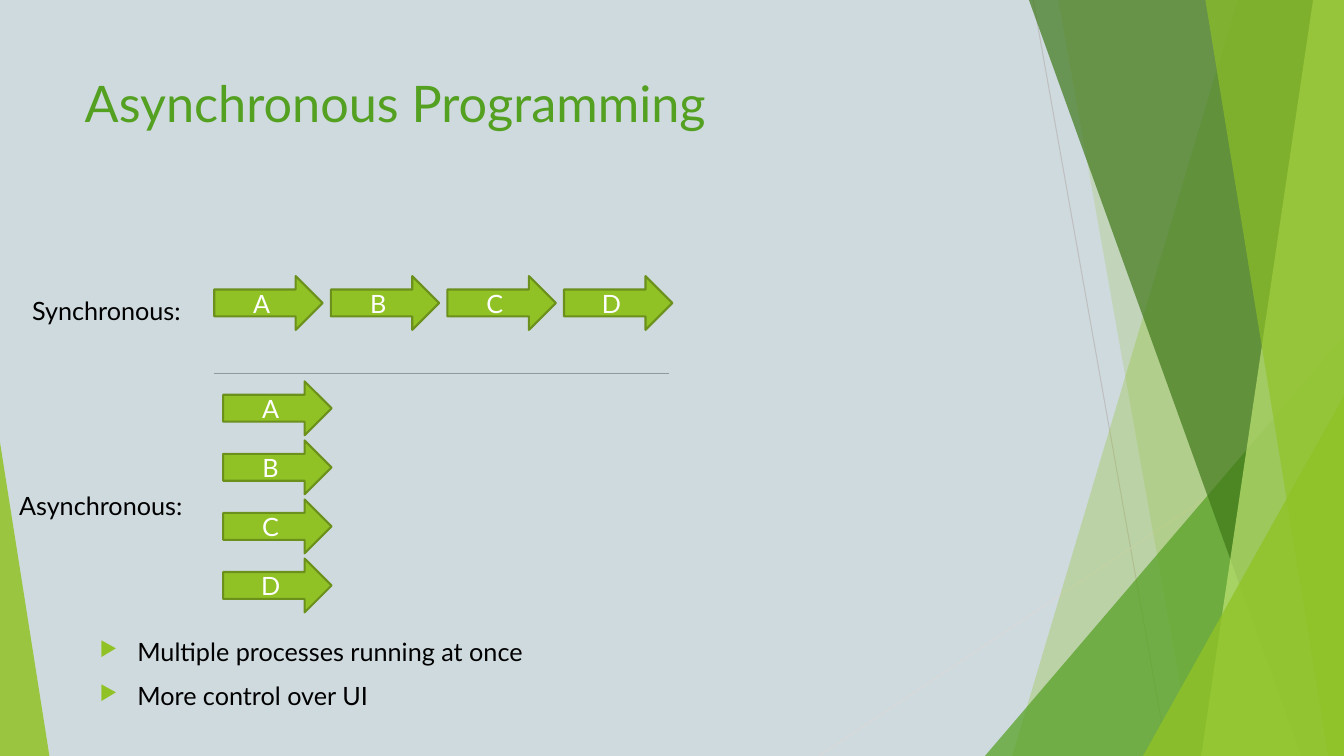
import pptx
import pptx.util
import pptx.dml.color
import pptx.enum.shapes
import pptx.enum.text
import pptx.oxml
import pptx.oxml.ns
from lxml import etree

Pt = pptx.util.Pt
SHAPE = pptx.enum.shapes.MSO_SHAPE
ANCHOR = pptx.enum.text.MSO_ANCHOR
ALIGN = pptx.enum.text.PP_ALIGN
W, H = 960, 540
FONT = "Lato"
LIME, GREEN, BLACK = "90C226", "54A021", "000000"

TITLE = "Asynchronous Programming"
TASKS = ["A", "B", "C", "D"]
LABELS = [("Synchronous:", 15.8, 207.4), ("Asynchronous:", 6.5, 347)]
BULLETS = ["Multiple processes running at once", "More control over UI"]

BACK_LINES = [((738, 0), (834, H), "BFBFBF"), ((W, 290), (585, H), "D9D9D9")]
DIVIDER = ((152.6, 266.6), (478.1, 266.6), "8F9A9C")
FACETS = [
    ([(884, 0), (W, 0), (W, H), (723, H)], LIME, 30),
    ([(756, 0), (W, 0), (W, H), (852, H)], LIME, 20),
    ([(W, 240), (W, H), (703.5, H)], GREEN, 72),
    ([(735, 0), (W, 0), (W, H), (929.5, H)], "3F7819", 70),
    ([(938, 0), (W, 0), (W, H), (858, H)], "C0E474", 70),
    ([(861, 0), (W, 0), (W, H), (949, H)], LIME, 65),
    ([(W, 283), (W, H), (816.5, H)], LIME, 80),
    ([(0, 316), (35.3, H), (0, H)], LIME, 85),
]

ARROW_W, ARROW_H = 77.4, 38.4
SYNC_X, SYNC_Y, SYNC_STEP = 153, 197.2, 83.3
ASYNC_X, ASYNC_Y, ASYNC_STEP = 159.4, 272.4, 42.2


def rgb(value):
    return pptx.dml.color.RGBColor.from_string(value)


def add_text(tf, text, size=18, color=BLACK, align=ALIGN.LEFT, anchor=ANCHOR.TOP):
    tf.word_wrap = True
    tf.vertical_anchor = anchor
    p = tf.paragraphs[0]
    if p.runs:
        p = tf.add_paragraph()
    p.alignment = align
    r = p.add_run()
    r.text = text
    r.font.name = FONT
    r.font.size = Pt(size)
    r.font.color.rgb = rgb(color)
    return p


def add_bullet(p):
    pPr = p._p.get_or_add_pPr()
    pPr.set("marL", str(Pt(27)))
    pPr.set("indent", str(-Pt(27)))
    color = etree.SubElement(pPr, pptx.oxml.ns.qn("a:buClr"))
    etree.SubElement(color, pptx.oxml.ns.qn("a:srgbClr"), val=LIME)
    etree.SubElement(pPr, pptx.oxml.ns.qn("a:buSzPct"), val="80000")
    etree.SubElement(pPr, pptx.oxml.ns.qn("a:buChar"), char="▶")


def add_line(s, start, end, color):
    line = s.shapes.add_connector(
        pptx.enum.shapes.MSO_CONNECTOR.STRAIGHT, *map(Pt, start + end))
    line.line.color.rgb = rgb(color)
    line.line.width = Pt(0.75)
    etree.SubElement(line._element.spPr, pptx.oxml.ns.qn("a:effectLst"))


def add_facet(s, points, color, opacity):
    corners = [(Pt(x), Pt(y)) for x, y in points]
    builder = s.shapes.build_freeform(*corners[0])
    builder.add_line_segments(corners[1:])
    sp = builder.convert_to_shape()
    sp.shadow.inherit = False
    sp.line.fill.background()
    sp.fill.solid()
    sp.fill.fore_color.rgb = rgb(color)
    clr = sp._element.spPr.find(".//" + pptx.oxml.ns.qn("a:srgbClr"))
    etree.SubElement(clr, pptx.oxml.ns.qn("a:alpha"), val=str(opacity * 1000))


def add_arrow(s, x, y, text):
    sp = s.shapes.add_shape(SHAPE.RIGHT_ARROW, Pt(x), Pt(y), Pt(ARROW_W), Pt(ARROW_H))
    sp.shadow.inherit = False
    sp.fill.solid()
    sp.fill.fore_color.rgb = rgb(LIME)
    sp.line.color.rgb = rgb("6B901C")
    sp.line.width = Pt(1.5)
    add_text(sp.text_frame, text, color="FFFFFF", align=ALIGN.CENTER, anchor=ANCHOR.MIDDLE)


def main():
    prs = pptx.Presentation()
    prs.slide_width, prs.slide_height = Pt(W), Pt(H)
    s = prs.slides.add_slide(prs.slide_layouts[5])
    s.background.fill.solid()
    s.background.fill.fore_color.rgb = rgb("CFDADF")

    for line in BACK_LINES:
        add_line(s, *line)
    for facet in FACETS:
        add_facet(s, *facet)

    title = s.shapes.title
    title.left, title.top, title.width, title.height = Pt(53.3), Pt(48), Pt(677), Pt(104)
    add_text(title.text_frame, TITLE, size=36, color=GREEN)

    body = s.shapes.add_textbox(Pt(64), Pt(451), Pt(666), Pt(72))
    for i, text in enumerate(BULLETS):
        p = add_text(body.text_frame, text)
        add_bullet(p)
        if i:
            p.space_before = Pt(10)

    for i, task in enumerate(TASKS):
        add_arrow(s, SYNC_X + i * SYNC_STEP, SYNC_Y, task)
    add_line(s, *DIVIDER)
    for i, task in enumerate(TASKS):
        add_arrow(s, ASYNC_X, ASYNC_Y + i * ASYNC_STEP, task)

    for text, x, y in LABELS:
        box = s.shapes.add_textbox(Pt(x), Pt(y), Pt(140), Pt(29))
        add_text(box.text_frame, text)

    prs.save("out.pptx")


if __name__ == "__main__":
    main()
